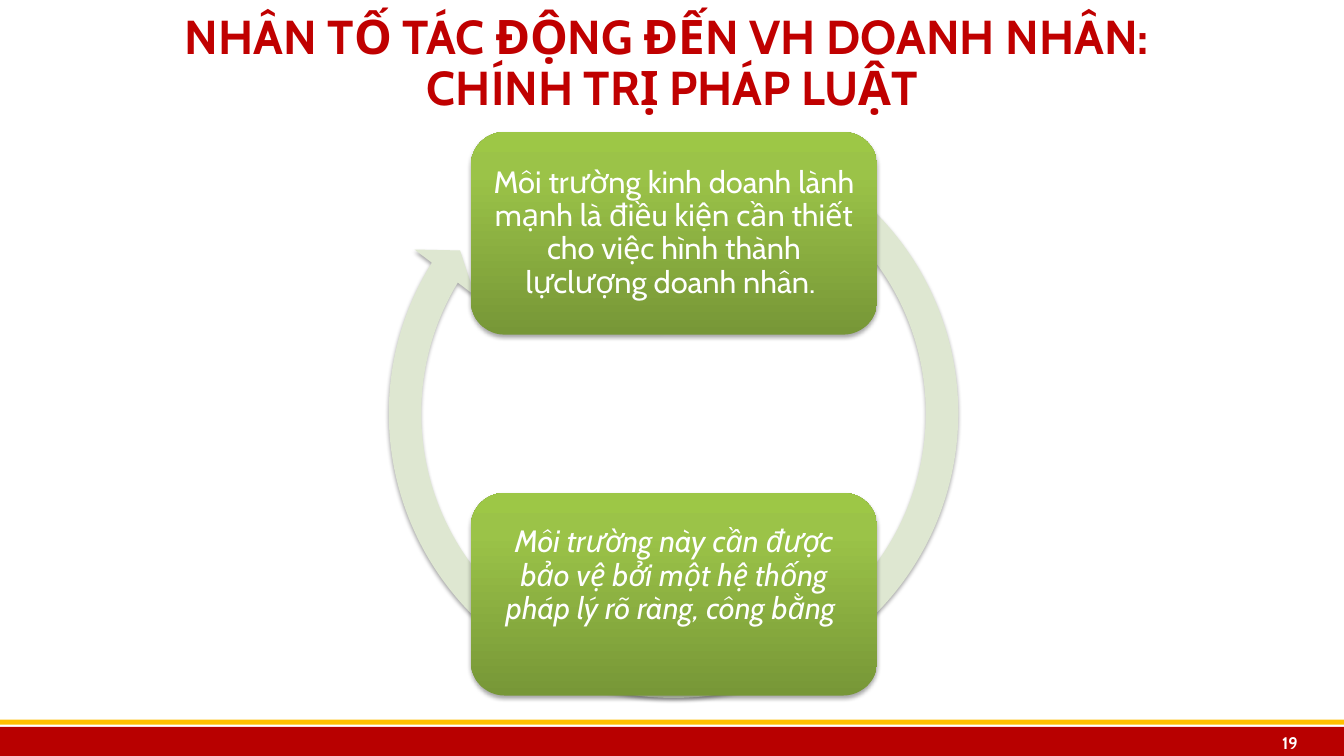
from lxml import etree
from pptx import Presentation
from pptx.dml.color import RGBColor
from pptx.enum.shapes import MSO_SHAPE as Shape
from pptx.enum.text import MSO_ANCHOR as Anchor, PP_ALIGN as Align
from pptx.oxml import parse_xml
from pptx.oxml.ns import nsdecls, qn
from pptx.util import Inches, Pt

# Content
TITLE = "NHÂN TỐ TÁC ĐỘNG ĐẾN VH DOANH NHÂN: \vCHÍNH TRỊ PHÁP LUẬT"
PAGE = "19"
# text, italic, bottom inset
STEPS = [
    ("Môi trường kinh doanh lành mạnh là điều kiện cần thiết cho việc "
     "hình thành lựclượng doanh nhân. ", False, 0.09),
    ("Môi trường này cần được bảo vệ bởi một hệ thống pháp lý rõ ràng, "
     "công bằng ", True, 0.45),
]
BANDS = [(0, 7.21, 13.33, 0.31, "B80000"), (-0.01, 7.14, 13.36, 0.05, "FFC000")]
GRADIENT = [(0, "779737"), (80, "9BC348"), (100, "9DC746")]
ARROW_ADJ = [0.053, 3.439, 126.958, 180.752, 0.062]

# Layout
FONT = "Cabin"
BOX_LEFT, BOX_TOP, BOX_W, BOX_H, BOX_STEP = 4.67, 1.31, 4.03, 2.01, 3.58


def rgb(value):
    return RGBColor.from_string(value)


def add_shape(kind, x, y, w, h, fill):
    sp = s.shapes.add_shape(kind, Inches(x), Inches(y), Inches(w), Inches(h))
    sp.shadow.inherit = False
    sp.fill.solid()
    sp.fill.fore_color.rgb = rgb(fill)
    sp.line.fill.background()
    return sp


def add_shadow(sp):
    effects = sp._element.spPr.find(qn("a:effectLst"))
    effects.append(parse_xml(
        f'<a:outerShdw {nsdecls("a")} blurRad="{Pt(3.1)}" dist="{Pt(1.8)}" '
        'dir="5400000" rotWithShape="0"><a:srgbClr val="000000">'
        '<a:alpha val="35000"/></a:srgbClr></a:outerShdw>'))


def set_gradient(sp, stops):
    sp.fill.gradient()
    sp.fill.gradient_angle = 90
    stop_list = sp._element.spPr.find(qn("a:gradFill")).find(qn("a:gsLst"))
    for old in list(stop_list):
        stop_list.remove(old)
    for pos, colour in stops:
        stop = etree.SubElement(stop_list, qn("a:gs"), pos=str(pos * 1000))
        etree.SubElement(stop, qn("a:srgbClr"), val=colour)


def set_text(sp, text, size, colour, align, insets,
             bold=False, italic=False, spacing=0.9):
    tf = sp.text_frame
    tf.word_wrap = True
    tf.vertical_anchor = Anchor.MIDDLE
    (tf.margin_left, tf.margin_top,
     tf.margin_right, tf.margin_bottom) = map(Inches, insets)
    p = tf.paragraphs[0]
    p.text = text
    p.alignment = align
    p.line_spacing = spacing
    p.font.name, p.font.size = FONT, Pt(size)
    p.font.bold, p.font.italic = bold, italic
    p.font.color.rgb = rgb(colour)


def add_text(x, y, w, h, *args, **kwargs):
    sp = s.shapes.add_textbox(Inches(x), Inches(y), Inches(w), Inches(h))
    set_text(sp, *args, **kwargs)


prs = Presentation()
prs.slide_width, prs.slide_height = Inches(13.33), Inches(7.5)
s = prs.slides.add_slide(prs.slide_layouts[6])

# Footer bands, title and page number
for x, y, w, h, colour in BANDS:
    add_shape(Shape.RECTANGLE, x, y, w, h, colour)
add_text(0.37, 0.05, 12.6, 1.18, TITLE, 34, "C00000", Align.CENTER,
         (0.1, 0.05, 0.1, 0.05), bold=True)
add_text(12.1, 7.21, 0.87, 0.31, PAGE, 12, "FFFFFF", Align.RIGHT,
         (0.1, 0, 0.1, 0), bold=True, spacing=1.0)

# Cycle arrow
arrow = add_shape(Shape.CIRCULAR_ARROW, 3.64, 1.06, 6.08, 6.08, "DEE7D1")
for i, value in enumerate(ARROW_ADJ):
    arrow.adjustments[i] = value
add_shadow(arrow)

# Cycle boxes; the rounded corners already inset the text a little
for i, (text, italic, bottom) in enumerate(STEPS):
    box = add_shape(Shape.ROUNDED_RECTANGLE, BOX_LEFT, BOX_TOP + i * BOX_STEP,
                    BOX_W, BOX_H, GRADIENT[0][1])
    set_gradient(box, GRADIENT)
    add_shadow(box)
    set_text(box, text, 22, "FFFFFF", Align.CENTER,
             (0.09, 0.09, 0.09, bottom), italic=italic)

prs.save("out.pptx")
